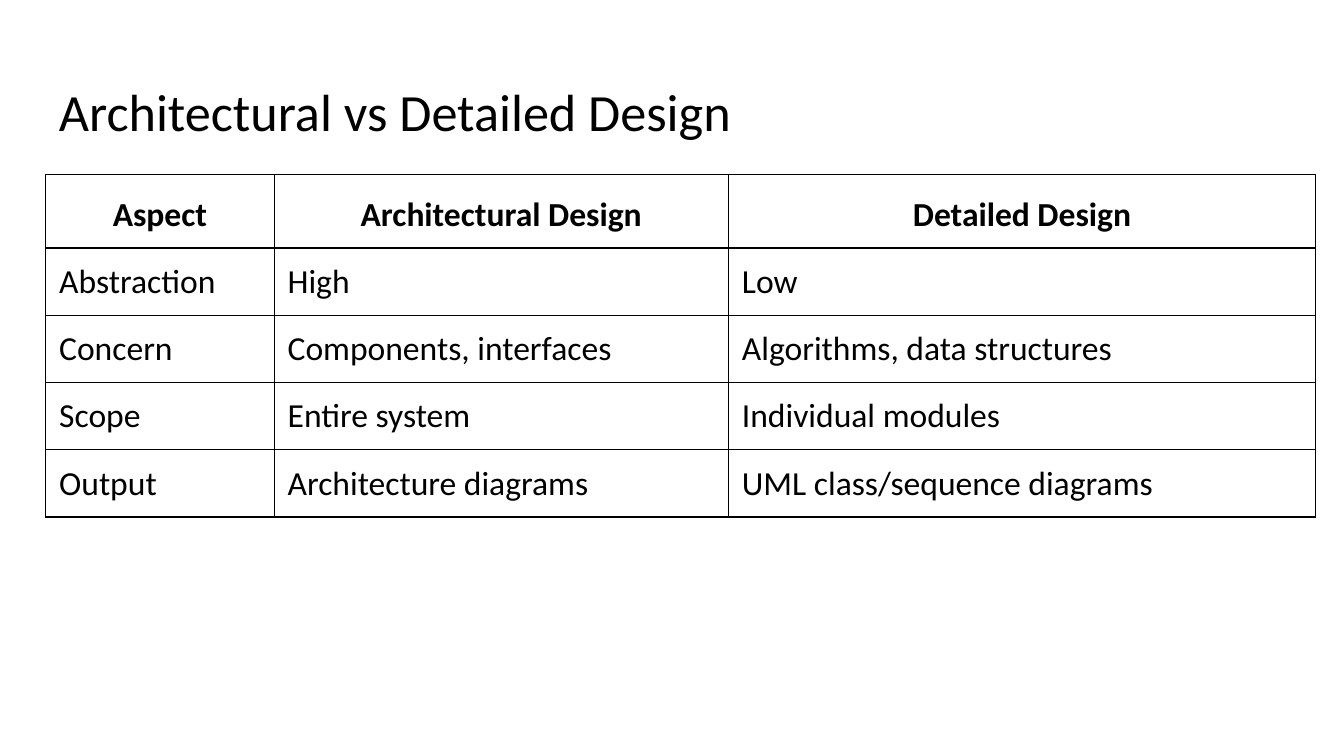
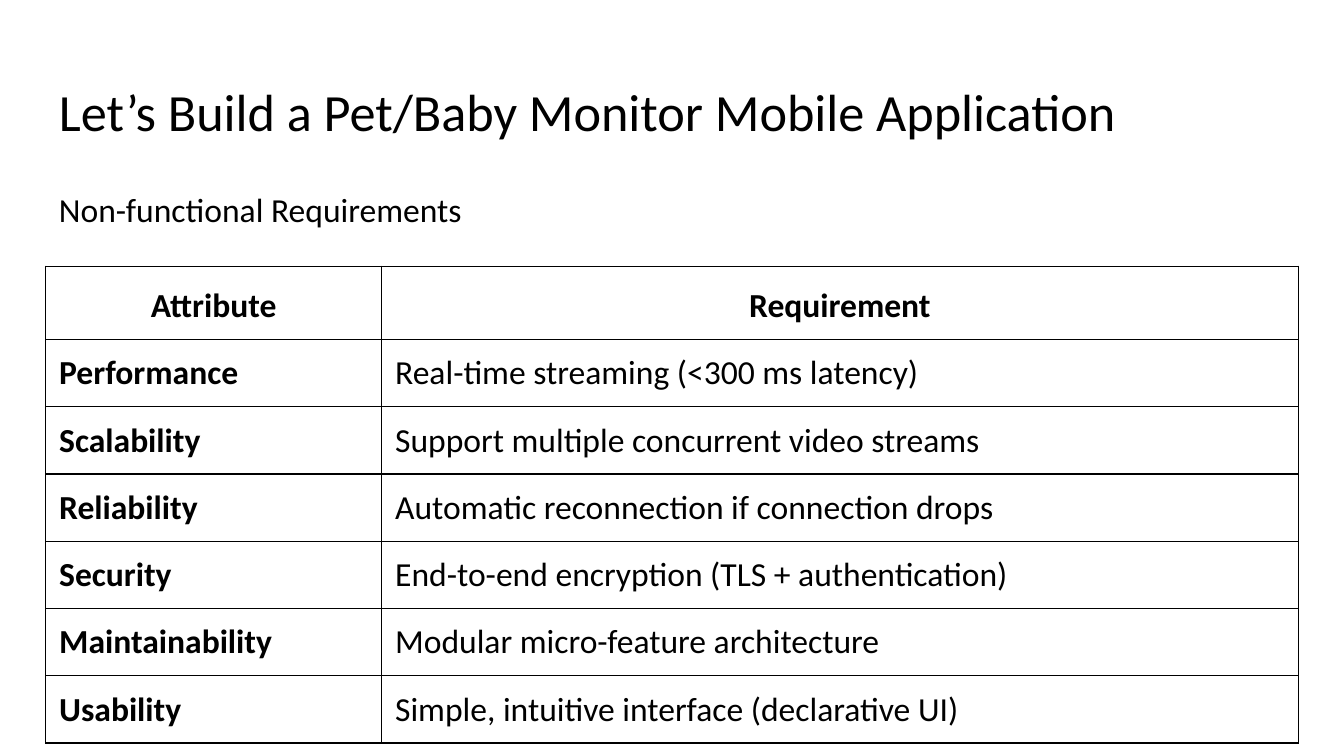
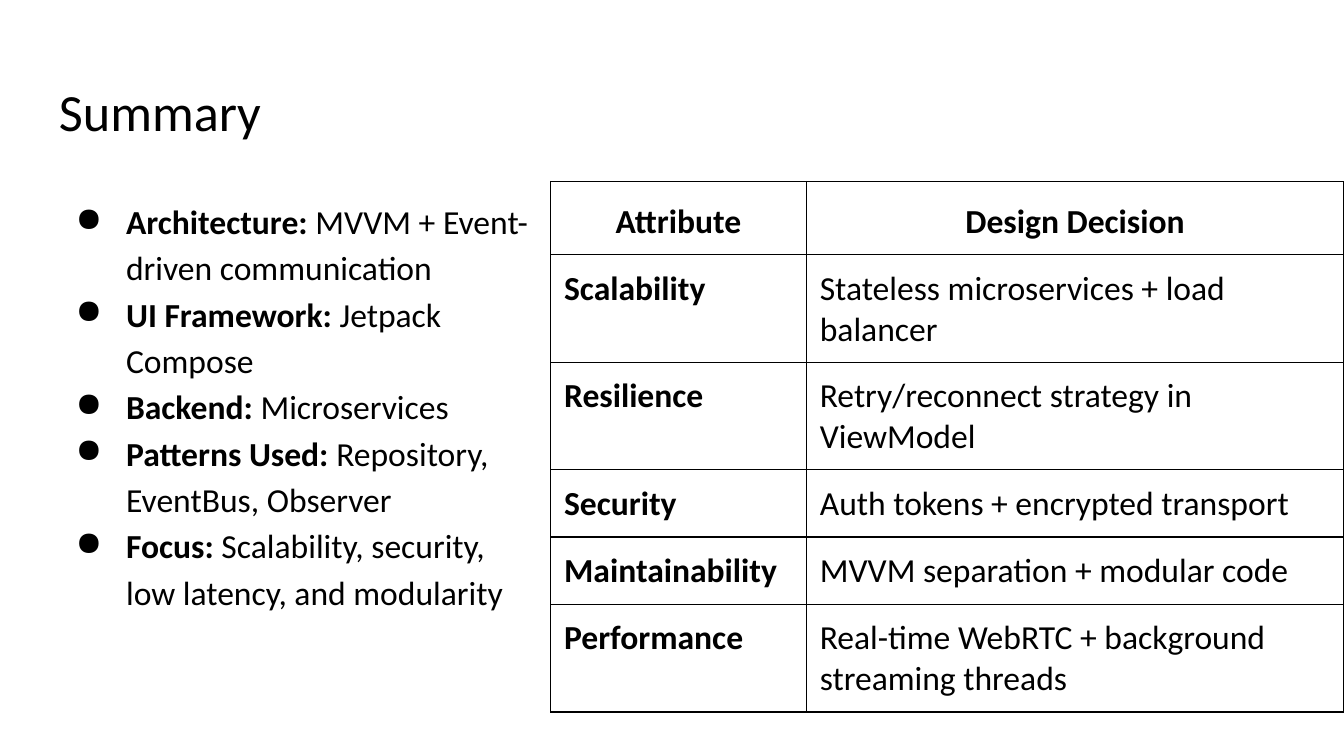
from lxml.etree import SubElement
from pptx import Presentation
from pptx.dml.color import RGBColor
from pptx.enum.text import MSO_AUTO_SIZE, PP_ALIGN
from pptx.oxml.ns import qn
from pptx.util import Pt

FONT = "Calibri"
INK = "000000"
PAPER = "FFFFFF"
INSET = Pt(7.2)
BORDER = Pt(0.75)
LEFT, WIDTH = 24.5, 671


def color(value):
    return RGBColor.from_string(value)


def write(frame, text, size=18, bold=False, align=PP_ALIGN.LEFT,
          spacing=None, before=0, after=0, label="", bullet=""):
    """Fill the empty first paragraph, or add one, with an optional bold label."""
    frame.word_wrap = True
    para = frame.paragraphs[-1]
    if para.runs:
        para = frame.add_paragraph()
    para.alignment = align
    para.space_before, para.space_after = Pt(before), Pt(after)
    if spacing:
        para.line_spacing = spacing
    if bullet:
        props = para._p.get_or_add_pPr()
        props.set("marL", str(Pt(36)))
        props.set("indent", str(Pt(-27)))
        tint = SubElement(props, qn("a:buClr"))
        SubElement(tint, qn("a:srgbClr"), val=INK)
        SubElement(props, qn("a:buChar"), char=bullet)
    for words, heavy in ((label, True), (text, bold)):
        if words:
            span = para.add_run()
            span.text = words
            span.font.name = FONT
            span.font.size = Pt(size)
            span.font.bold = heavy
            span.font.color.rgb = color(INK)


# Content: title, table and text below the title on each page
pages = [
    {
        "title": "Architectural vs Detailed Design",
        "origin": (LEFT, 93.6),
        "columns": [122.4, 243.4, 314.6],
        "row_heights": [15] * 5,
        "bold_labels": False,
        "rows": [
            ("Aspect", "Architectural Design", "Detailed Design"),
            ("Abstraction", "High", "Low"),
            ("Concern", "Components, interfaces", "Algorithms, data structures"),
            ("Scope", "Entire system", "Individual modules"),
            ("Output", "Architecture diagrams", "UML class/sequence diagrams"),
        ],
    },
    {
        "title": "Let’s Build a Pet/Baby Monitor Mobile Application",
        "text_area": (LEFT, 90.7, WIDTH, 36),
        "text": [("Non-functional Requirements", {"after": 12})],
        "origin": (LEFT, 142.6),
        "columns": [180, 491],
        "row_heights": [15] * 7,
        "bold_labels": True,
        "rows": [
            ("Attribute", "Requirement"),
            ("Performance", "Real-time streaming (<300 ms latency)"),
            ("Scalability", "Support multiple concurrent video streams"),
            ("Reliability", "Automatic reconnection if connection drops"),
            ("Security", "End-to-end encryption (TLS + authentication)"),
            ("Maintainability", "Modular micro-feature architecture"),
            ("Usability", "Simple, intuitive interface (declarative UI)"),
        ],
    },
    {
        "title": "Summary",
        "text_area": (LEFT, 97.2, 268.5, 237),
        "text": [
            (" MVVM + Event-driven communication",
             {"label": "Architecture:", "bullet": "●", "before": 12}),
            (" Jetpack Compose", {"label": "UI Framework:", "bullet": "●"}),
            (" Microservices", {"label": "Backend:", "bullet": "●"}),
            (" Repository, EventBus, Observer",
             {"label": "Patterns Used:", "bullet": "●"}),
            (" Scalability, security, low latency, and modularity",
             {"label": "Focus:", "bullet": "●"}),
        ],
        "origin": (295, 97.2),
        "columns": [137, 288],
        "row_heights": [25] + [26.6] * 5,
        "bold_labels": True,
        "rows": [
            ("Attribute", "Design Decision"),
            ("Scalability", "Stateless microservices + load balancer"),
            ("Resilience", "Retry/reconnect strategy in ViewModel"),
            ("Security", "Auth tokens + encrypted transport"),
            ("Maintainability", "MVVM separation + modular code"),
            ("Performance", "Real-time WebRTC + background streaming threads"),
        ],
    },
]

deck = Presentation()
deck.slide_width, deck.slide_height = Pt(720), Pt(405)

for content in pages:
    page = deck.slides.add_slide(deck.slide_layouts[6])
    page.background.fill.solid()
    page.background.fill.fore_color.rgb = color(PAPER)

    # Title and text boxes
    boxes = [((LEFT, 35.3, WIDTH, 48.2), [(content["title"], {"size": 28})])]
    if "text" in content:
        body = [(text, {"spacing": 1.15, **style}) for text, style in content["text"]]
        boxes.append((content["text_area"], body))
    for area, paragraphs in boxes:
        box = page.shapes.add_textbox(*map(Pt, area))
        frame = box.text_frame
        frame.margin_left = frame.margin_right = INSET
        frame.margin_top = frame.margin_bottom = INSET
        for text, style in paragraphs:
            write(frame, text, **style)
        frame.auto_size = MSO_AUTO_SIZE.SHAPE_TO_FIT_TEXT

    # Table; rows grow to fit their text
    rows, columns, heights = content["rows"], content["columns"], content["row_heights"]
    left, top = content["origin"]
    table = page.shapes.add_table(len(rows), len(columns), Pt(left), Pt(top),
                                  Pt(sum(columns)), Pt(sum(heights))).table
    table.first_row = table.horz_banding = False
    for column, width in zip(table.columns, columns):
        column.width = Pt(width)
    for row_index, row in enumerate(rows):
        table.rows[row_index].height = Pt(heights[row_index])
        for column_index, text in enumerate(row):
            cell = table.cell(row_index, column_index)
            cell.margin_left = cell.margin_right = INSET
            cell.margin_top = cell.margin_bottom = INSET
            if row_index == 0:
                write(cell.text_frame, text, bold=True, align=PP_ALIGN.CENTER, spacing=1.15)
            else:
                write(cell.text_frame, text,
                      bold=content["bold_labels"] and column_index == 0)
            # Borders come before the fill in the cell properties
            props = cell._tc.get_or_add_tcPr()
            for side in ("a:lnL", "a:lnR", "a:lnT", "a:lnB"):
                edge = SubElement(props, qn(side), w=str(BORDER))
                paint = SubElement(edge, qn("a:solidFill"))
                SubElement(paint, qn("a:srgbClr"), val=INK)
            cell.fill.background()

deck.save("out.pptx")
